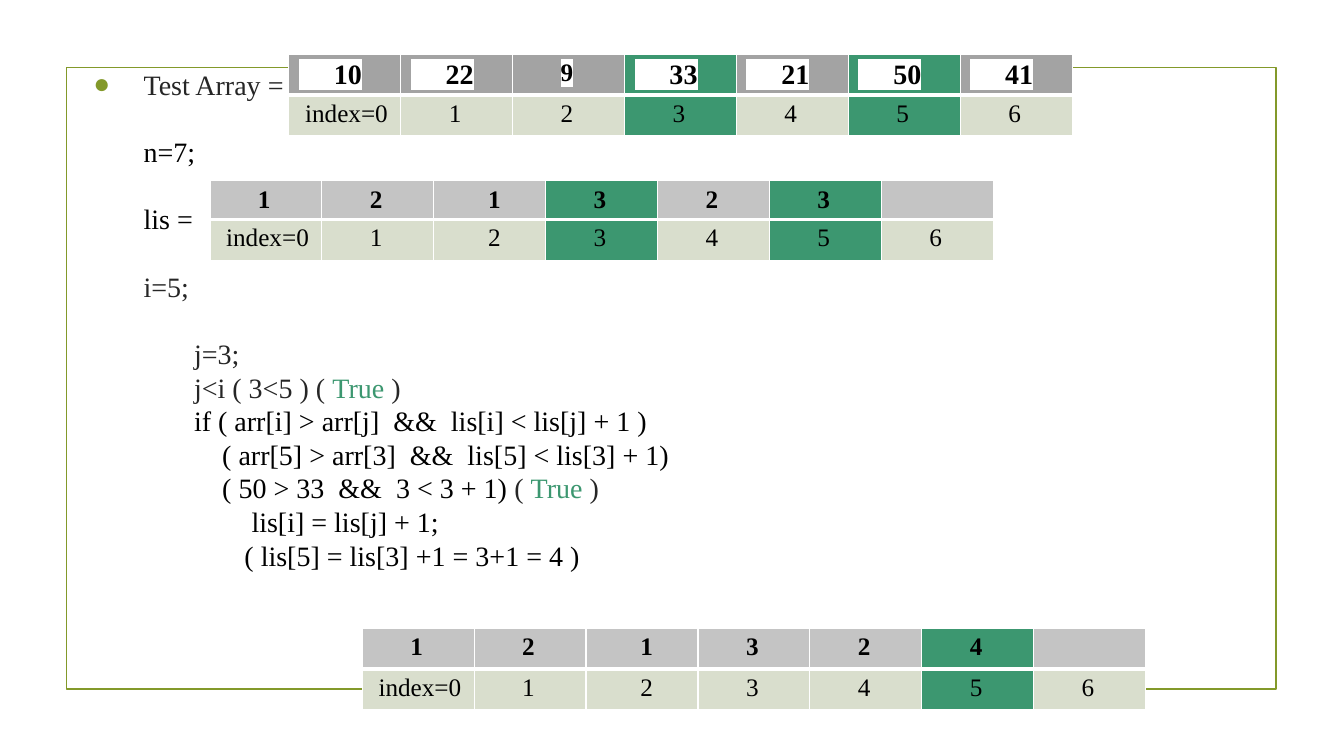
from lxml import etree
from pptx import Presentation
from pptx.dml.color import RGBColor
from pptx.enum.shapes import MSO_SHAPE
from pptx.enum.text import MSO_ANCHOR, MSO_AUTO_SIZE, PP_ALIGN
from pptx.oxml.ns import qn
from pptx.util import Cm, Pt

RECTANGLE = MSO_SHAPE.RECTANGLE
TOP = MSO_ANCHOR.TOP
LEFT = PP_ALIGN.LEFT
NO_AUTOFIT = MSO_AUTO_SIZE.NONE

FONT = "Times New Roman"
COLORS = {
    "black": "000000",
    "dark": "262626",
    "green": "3C9770",
    "olive": "83992A",
    "white": "FFFFFF",
    "array": "A3A3A3",
    "lis": "C4C4C4",
    "index": "D9DECD",
}

# indent in cm, lines of space before, runs of (text, color)
STEPS = [
    (0, 0, [("Test Array =", "dark")]),
    (0, 1, [("n=7;", "black")]),
    (0, 1, [("lis =", "black")]),
    (0, 1, [("i=5;", "dark")]),
    (1.27, 1, [("j=3;", "dark")]),
    (1.27, 0, [("j<i ( 3<5 ) ( ", "dark"), ("True", "green"), (" )", "dark")]),
    (1.27, 0, [("if ( arr[i] > arr[j]  &&  lis[i] < lis[j] + 1 )", "black")]),
    (1.98, 0, [("( arr[5] > arr[3]  &&  lis[5] < lis[3] + 1)", "black")]),
    (1.98, 0, [("( 50 > 33  &&  3 < 3 + 1) ", "black"), ("( ", "dark"),
               ("True", "green"), (" )", "dark")]),
    (2.72, 0, [("lis[i] = lis[j] + 1;", "black")]),
    (2.54, 0, [("( lis[5] = lis[3] +1 = 3+1 = 4 )", "black")]),
]

INDEXES = ["index=0", "1", "2", "3", "4", "5", "6"]
ARRAY = ["     10", "     22", "9", "     33", "     21", "     50", "     41"]
TABLES = [
    {"values": ["1", "2", "1", "3", "2", "4", ""], "head": "lis",
     "at": (9.13, 15.83), "rows": (1.03, 1.03), "marked": {0: {5}, 1: {5}}},
    {"values": ARRAY, "head": "array",
     "at": (7.28, 1.36), "rows": (1.03, 1.03), "marked": {0: {3, 5}, 1: {3, 5}}},
    {"values": ["1", "2", "1", "3", "2", "3", ""], "head": "lis",
     "at": (5.29, 4.55), "rows": (0.98, 1.03), "marked": {0: {3, 5}, 1: {3, 5}}},
]
COLUMN_WIDTH = 2.82
CELL_MARGIN = 0.25
SPACE_WIDTH = 0.16
TEXT_INDENT = 1.69
LINE_HEIGHT = 24


def rgb(name):
    return RGBColor.from_string(COLORS[name])


def add_run(paragraph, text, color, size, bold=False):
    run = paragraph.add_run()
    run.text = text
    run.font.size = Pt(size)
    run.font.bold = bold
    run.font.color.rgb = rgb(color)
    run.font.name = FONT
    return run


def add_color(parent, color):
    etree.SubElement(parent, qn("a:srgbClr"), val=COLORS[color])


def highlight(run):
    fill = run.font._element.find(qn("a:solidFill"))
    mark = etree.Element(qn("a:highlight"))
    add_color(mark, "white")
    fill.addnext(mark)


def set_bullet(paragraph, visible):
    props = paragraph._p.get_or_add_pPr()
    if visible:
        add_color(etree.SubElement(props, qn("a:buClr")), "olive")
        etree.SubElement(props, qn("a:buFont"), typeface=FONT)
        etree.SubElement(props, qn("a:buChar"), char="●")
    else:
        etree.SubElement(props, qn("a:buNone"))


def set_borders(cell, bottom):
    props = cell._tc.get_or_add_tcPr()
    for side, width in (("lnL", 1), ("lnR", 1), ("lnT", 1), ("lnB", bottom)):
        border = etree.SubElement(props, qn("a:" + side), w=str(Pt(width)))
        add_color(etree.SubElement(border, qn("a:solidFill")), "white")


def add_frame(slide):
    frame = slide.shapes.add_shape(RECTANGLE, Cm(1.68), Cm(1.7), Cm(30.48), Cm(15.67))
    frame.shadow.inherit = False
    frame.fill.background()
    frame.line.color.rgb = rgb("olive")
    frame.line.width = Pt(1.25)


def fill_body(body):
    body.left, body.top, body.width, body.height = Cm(1.6), Cm(1.37), Cm(29.69), Cm(16.66)
    frame = body.text_frame
    frame.word_wrap = True
    frame.auto_size = NO_AUTOFIT
    frame.vertical_anchor = TOP
    frame.margin_left = frame.margin_top = Cm(0.33)
    frame.margin_right = frame.margin_bottom = Cm(0.33)
    for number, (indent, lines_before, runs) in enumerate(STEPS):
        step = frame.add_paragraph() if number else frame.paragraphs[0]
        step.alignment = LEFT
        step.line_spacing = Pt(LINE_HEIGHT)
        step.space_before = Pt(LINE_HEIGHT * lines_before)
        step.space_after = Pt(0)
        props = step._p.get_or_add_pPr()
        props.set("marL", str(Cm(TEXT_INDENT + indent)))
        props.set("indent", "0" if number else str(Cm(-1.27)))
        set_bullet(step, number == 0)
        for text, color in runs:
            add_run(step, text, color, 20)


def fill_cell(cell, text, row, column, head, marked):
    set_borders(cell, 1 if row else 3)
    cell.fill.solid()
    cell.fill.fore_color.rgb = rgb("green" if marked else ("index" if row else head))
    cell.vertical_anchor = TOP
    if not text:
        cell.margin_top = cell.margin_bottom = 0
        return
    boxed = head == "array" and row == 0
    padded = text != text.strip()
    if padded:
        spaces = 0
    elif row and column == 0:
        spaces = 1
    else:
        spaces = 7 if head == "lis" and column == 2 else 6
    cell.margin_left = Cm(CELL_MARGIN + SPACE_WIDTH * spaces)
    cell.margin_right = 0
    value = cell.text_frame.paragraphs[0]
    value.alignment = LEFT
    run = add_run(value, text, "black", 20 if padded else 18, row == 0)
    if boxed:
        highlight(run)


def add_index_table(slide, content):
    left, top = content["at"]
    heights = content["rows"]
    grid = slide.shapes.add_table(2, len(INDEXES), Cm(left), Cm(top),
                                  Cm(COLUMN_WIDTH * len(INDEXES)), Cm(sum(heights))).table
    grid.horz_banding = False
    for column in grid.columns:
        column.width = Cm(COLUMN_WIDTH)
    for row, texts in enumerate((content["values"], INDEXES)):
        grid.rows[row].height = Cm(heights[row])
        for column, text in enumerate(texts):
            fill_cell(grid.cell(row, column), text, row, column,
                      content["head"], column in content["marked"][row])


def main():
    deck = Presentation()
    deck.slide_width, deck.slide_height = Cm(33.87), Cm(19.05)
    slide = deck.slides.add_slide(deck.slide_layouts[1])
    title = slide.shapes.title._element
    title.getparent().remove(title)
    add_frame(slide)
    fill_body(slide.placeholders[1])
    for content in TABLES:
        add_index_table(slide, content)
    deck.save("out.pptx")


if __name__ == "__main__":
    main()
